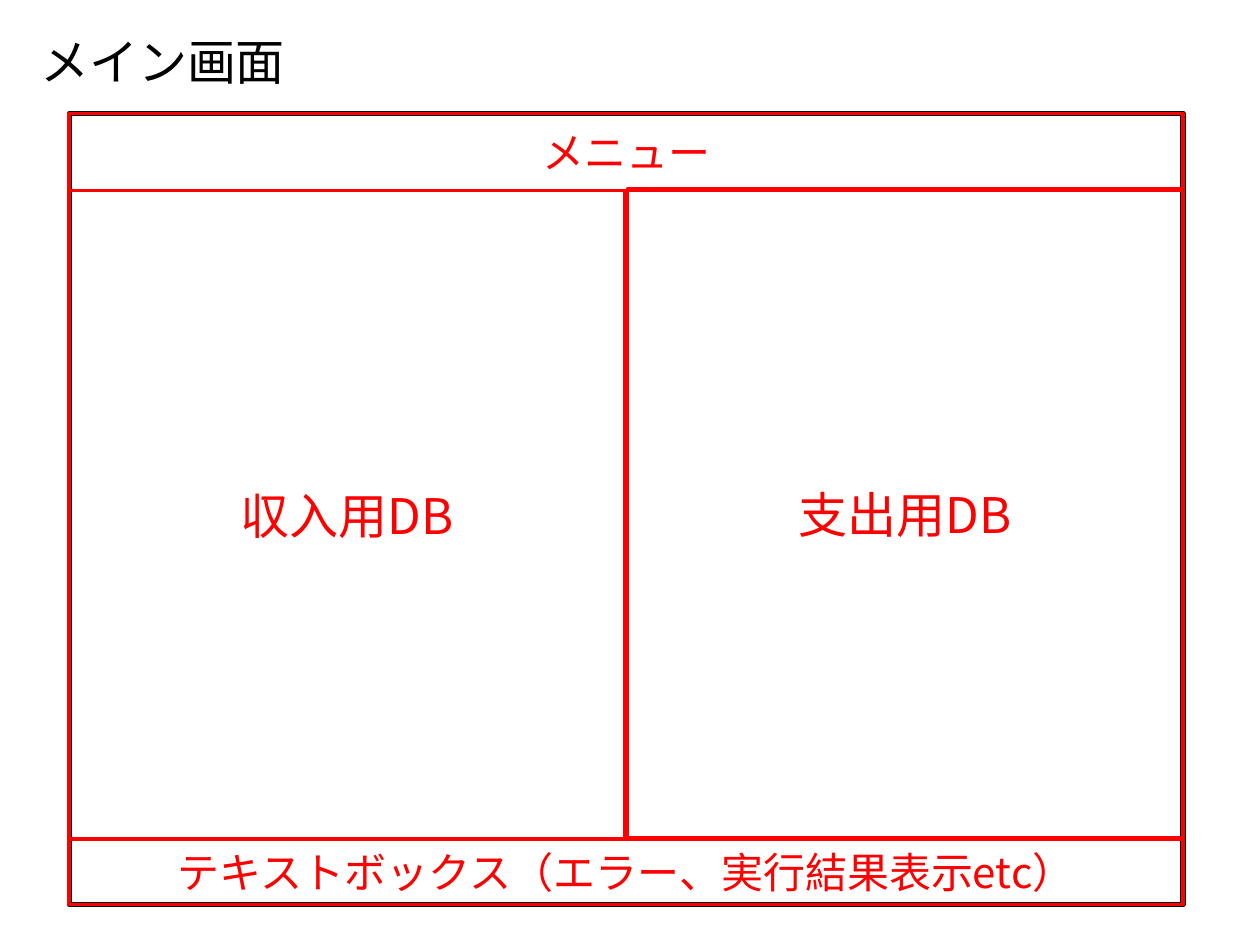
import pptx
import pptx.dml.color
import pptx.enum.shapes
import pptx.enum.text
import pptx.oxml.ns
import pptx.util
from lxml import etree

Pt = pptx.util.Pt
FONT = "Noto Sans CJK JP"
RED, BLACK = "FF0000", "000000"


def color(value):
    return pptx.dml.color.RGBColor.from_string(value)


def write(box, text, size, value, alignment, anchor):
    frame = box.text_frame
    frame.text = text
    frame.vertical_anchor = anchor
    paragraph = frame.paragraphs[0]
    paragraph.alignment = alignment
    font = paragraph.font
    font.name, font.size = FONT, Pt(size)
    font.color.rgb = color(value)
    # East Asian typeface
    properties = paragraph._p.find(".//" + pptx.oxml.ns.qn("a:defRPr"))
    latin = properties.find(pptx.oxml.ns.qn("a:latin"))
    east_asian = etree.Element(pptx.oxml.ns.qn("a:ea"), typeface=FONT)
    latin.addnext(east_asian)


deck = pptx.Presentation()
deck.slide_width, deck.slide_height = Pt(720), Pt(540)
page = deck.slides.add_slide(deck.slide_layouts[5])
align = pptx.enum.text.PP_ALIGN
anchors = pptx.enum.text.MSO_ANCHOR

# Window layout
left, top, width, height = 39.6, 64.8, 636.5, 452.2
menu_height, message_height = 44, 37.4
gap = 1.4
panel_width = (width - gap) / 2
panel_height = height - menu_height - message_height
panel_top = top + menu_height
right_left = left + panel_width + gap
message_top = panel_top + panel_height

# Outer frame, database panels, menu and message bar
areas = [
    ("", left, top, width, height, BLACK, 3, 28),
    ("収入用DB", left, panel_top, panel_width, panel_height, RED, 2, 28),
    ("支出用DB", right_left, panel_top - 0.7, panel_width, panel_height, RED, 2, 28),
    ("メニュー", left, top, width, menu_height, RED, 2, 24),
    ("テキストボックス（エラー、実行結果表示etc）",
     left, message_top, width, message_height, RED, 2, 24),
]
for text, x, y, w, h, outline, weight, size in areas:
    area = page.shapes.add_shape(
        pptx.enum.shapes.MSO_SHAPE.RECTANGLE, Pt(x), Pt(y), Pt(w), Pt(h))
    area.shadow.inherit = False
    area.fill.background()
    area.line.color.rgb = color(outline)
    area.line.width = Pt(weight)
    if text:
        write(area, text, size, RED, align.CENTER, anchors.MIDDLE)

# Title
title = page.shapes.title
title.left, title.top, title.width, title.height = Pt(15.8), Pt(14.4), Pt(156.2), Pt(41)
write(title, "メイン画面", 28, BLACK, align.LEFT, anchors.TOP)
title.text_frame.word_wrap = False
title.text_frame.auto_size = pptx.enum.text.MSO_AUTO_SIZE.SHAPE_TO_FIT_TEXT

deck.save("out.pptx")
